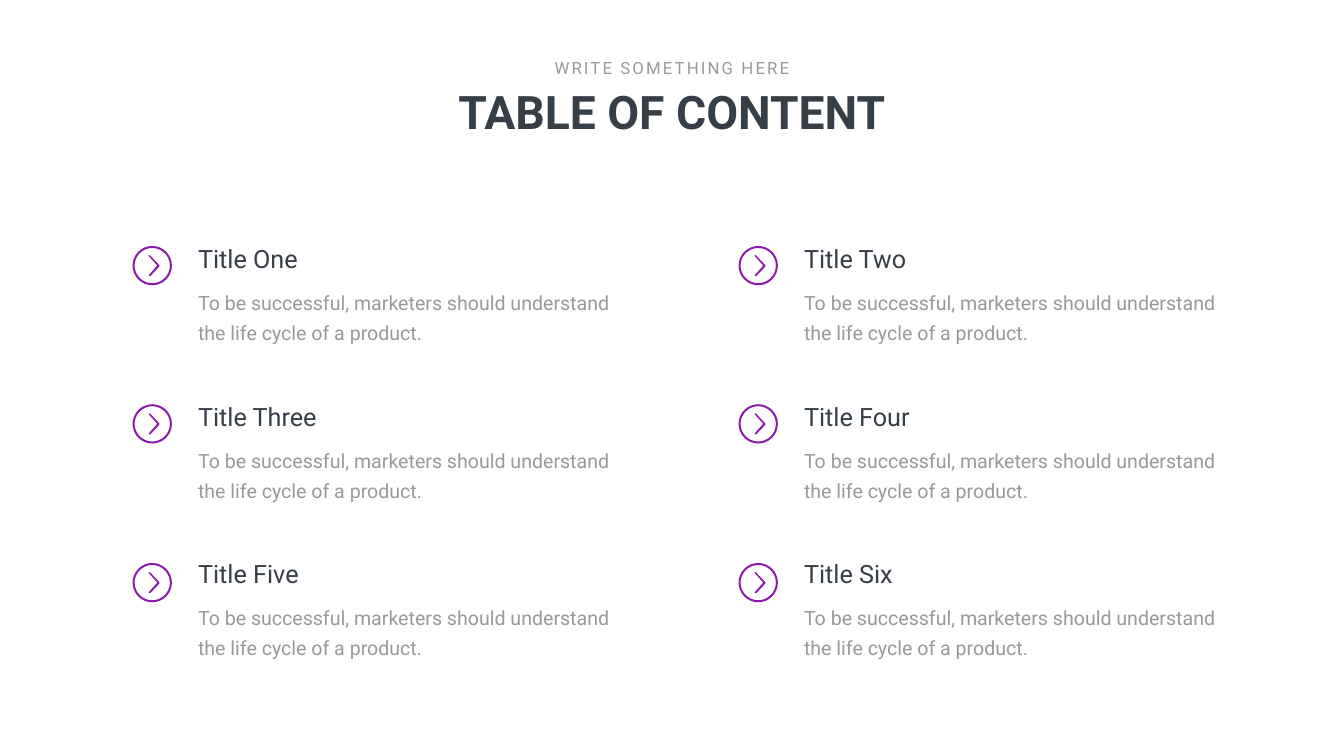
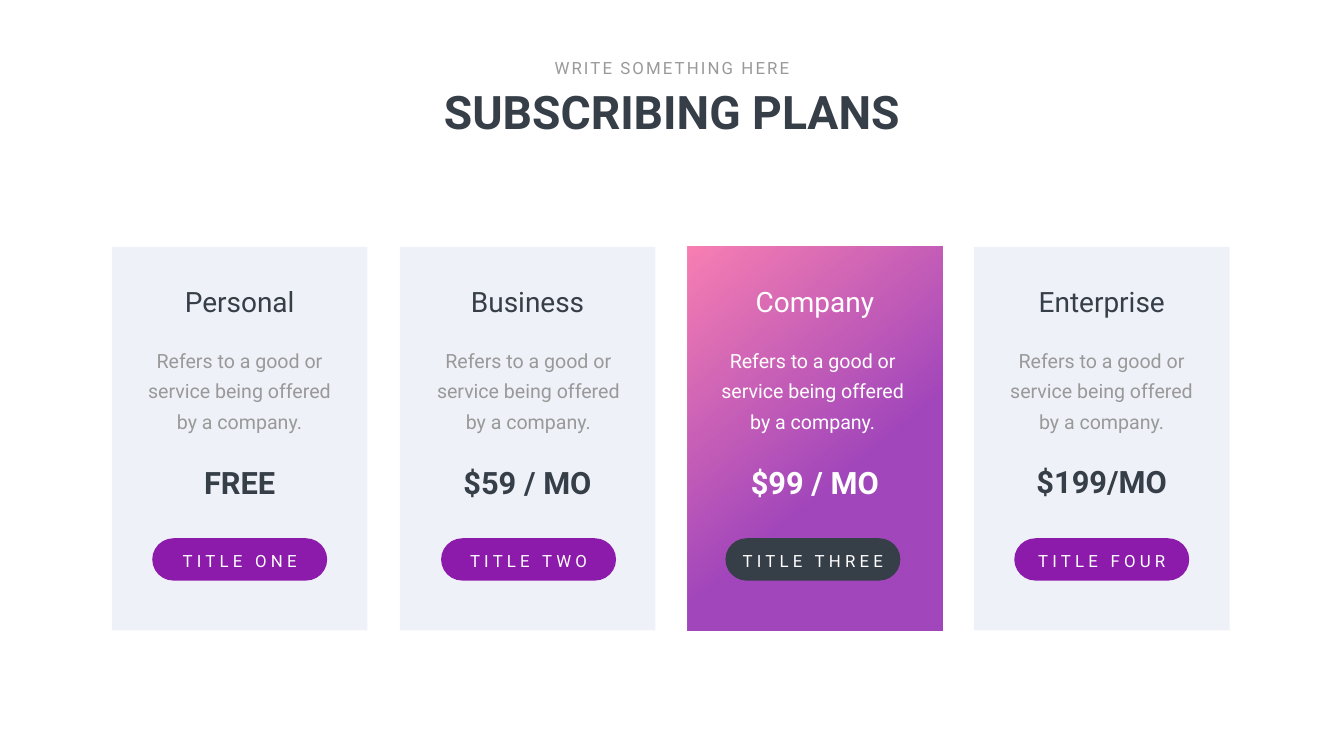
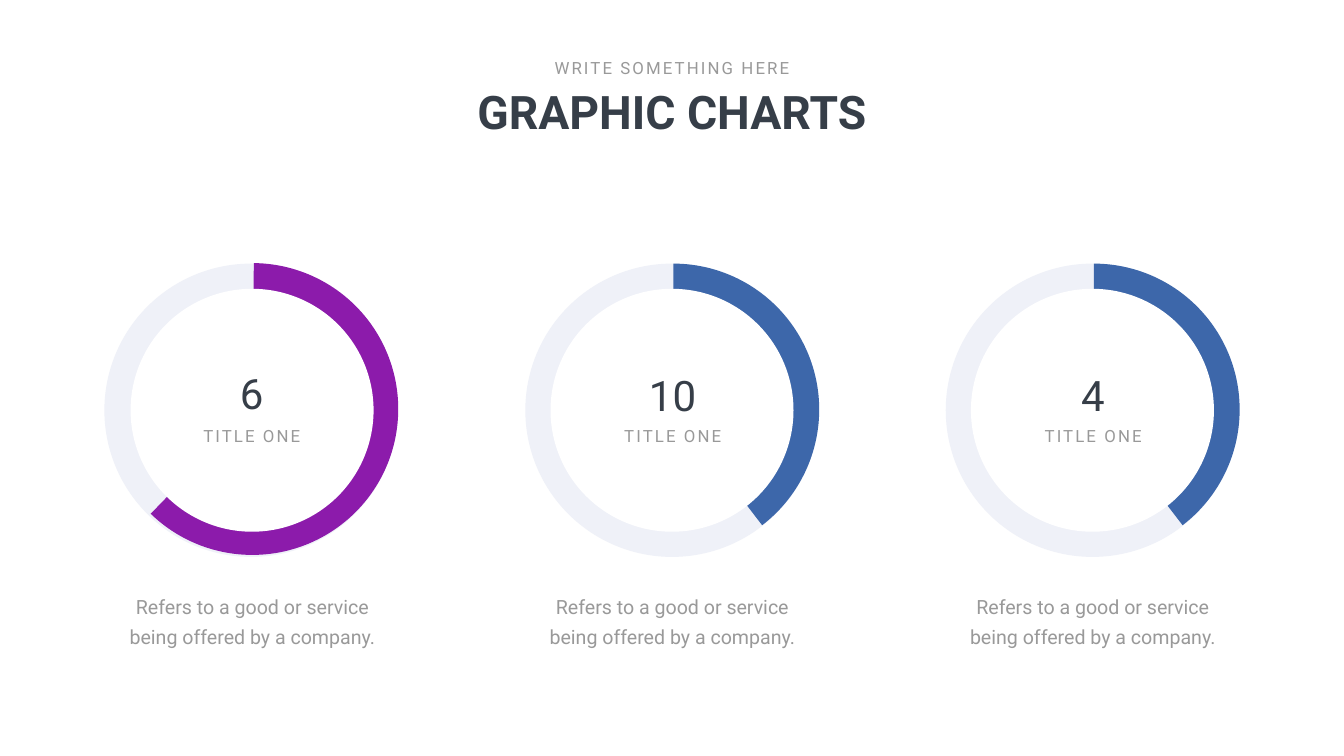
from lxml.etree import SubElement
from pptx import Presentation
from pptx.dml.color import RGBColor
from pptx.enum.shapes import MSO_SHAPE
from pptx.enum.text import MSO_AUTO_SIZE, PP_ALIGN
from pptx.oxml.ns import qn
from pptx.util import Emu, Pt

# Shared look
PX = 9144  # EMU in one px, 100 px to the inch
WIDTH, HEIGHT = 2666, 1500
FONT = "Roboto"
COLORS = {
    "dark": "363E48",
    "gray": "999999",
    "white": "FFFFFF",
    "pale": "EFF1F8",
    "purple": "8C1BAB",
    "blue": "3D67AA",
    "pink": "F761A0",
}
TITLE = dict(size=66, bold=True)
HEADING = dict(size=36, align=PP_ALIGN.LEFT)
BODY = dict(size=28, color="gray", line=43)
LABEL = dict(size=24, color="gray", spacing=3, wrap=False)

# Content
KICKER = "WRITE SOMETHING HERE"
TOPICS = ["Title One", "Title Two", "Title Three", "Title Four", "Title Five", "Title Six"]
TOPIC_TEXT = "To be successful, marketers should understand the life cycle of a product."
OFFER_TEXT = "Refers to a good or service being offered by a company."
TOPIC_LEFTS = [383, 1585]
TOPIC_ROWS = [(478, 488), (791, 802), (1103, 1117)]  # text top, icon top

PLANS = [
    dict(left=222, name="Personal", name_width=243, price="FREE", price_box=(916, 347),
         button="TITLE ONE", button_left=302, button_width=257),
    dict(left=793, name="Business", name_width=252, price="$59 / MO", price_box=(916, 347),
         button="TITLE TWO", button_left=875, button_width=263),
    dict(left=1363, name="Company", name_width=260, price="$99 / MO", price_box=(916, 347),
         button="TITLE THREE", button_left=1439, button_width=312, featured=True),
    dict(left=1932, name="Enterprise", name_width=278, price="$199/MO", price_box=(913, 420),
         button="TITLE FOUR", button_left=2012, button_width=287),
]

# Left, number, its top, arc top, hole inset, arc colour, arc start and end in degrees
RINGS = [
    (207, "6", 725, 522, 52, "purple", 270.6, 134.12),
    (1042, "10", 728, 523, 50, "blue", 270.07, 52.48),
    (1876, "4", 728, 523, 50, "blue", 270.07, 52.48),
]
RING_LABEL = "TITLE ONE"

# Arrow icon outline, inside a square of 78 px; the second ring turns the other way
CENTER = 39
OUTER_RING = [(39, 0), (78, 39), (39, 78), (0, 39), (39, 0)]
INNER_RING = [(39, 4), (4, 39), (39, 74), (74, 39), (39, 4)]
CHEVRON = [(34, 18), (53, 38), (53, 41), (35, 60), (33, 60), (32, 58),
           (49, 39), (33, 21), (32, 19)]
QUARTER = 0.55  # handle length of a quarter circle, as a share of its radius


def rgb(name):
    return RGBColor.from_string(COLORS[name])


def px(*lengths):
    return [Emu(round(length * PX)) for length in lengths]


def add_text(page, text, left, top, width, height, size, color="dark", bold=False,
             align=PP_ALIGN.CENTER, line=None, spacing=0, wrap=True, inset=None):
    box = page.shapes.add_textbox(*px(left, top, width, height))
    frame = box.text_frame
    frame.word_wrap = wrap
    frame.auto_size = MSO_AUTO_SIZE.SHAPE_TO_FIT_TEXT
    if inset:
        frame.margin_left, frame.margin_top = px(*inset)
        frame.margin_right, frame.margin_bottom = px(*inset)
    para = frame.paragraphs[0]
    para.alignment = align
    if line:
        para.line_spacing = Pt(line)
    span = para.add_run()
    span.text = text
    span.font.name = FONT
    span.font.size = Pt(size)
    span.font.bold = bold
    span.font.color.rgb = rgb(color)
    if spacing:
        span._r.get_or_add_rPr().set("spc", str(spacing * 100))


def paint(shape, color):
    shape.shadow.inherit = False
    shape.line.fill.background()
    shape.fill.solid()
    shape.fill.fore_color.rgb = rgb(color)


def add_block(page, kind, left, top, width, height, color):
    shape = page.shapes.add_shape(kind, *px(left, top, width, height))
    paint(shape, color)
    return shape


def paint_gradient(shape):
    shape.fill.gradient()
    shape.fill.gradient_angle = 310
    for stop, color, position in zip(shape.fill.gradient_stops, ("pink", "purple"), (0, 0.6)):
        stop.color.rgb = rgb(color)
        stop.position = position
    for tint in shape.element.iter(qn("a:srgbClr")):
        SubElement(tint, qn("a:alpha")).set("val", "80000")


def bend(line):
    """Turn a straight side of a ring into a quarter circle."""
    end = line[-1]
    start = line.getprevious()[-1]
    center = CENTER * PX
    for near, far in ((start, end), (end, start)):
        handle = SubElement(line, qn("a:pt"))
        for axis in ("x", "y"):
            value = int(near.get(axis)) + QUARTER * (int(far.get(axis)) - center)
            handle.set(axis, str(round(value)))
    line.append(end)
    line.tag = qn("a:cubicBezTo")


def add_arrow_icon(page, left, top):
    outlines = [[px(left + x, top + y) for x, y in points]
                for points in (OUTER_RING, INNER_RING, CHEVRON)]
    builder = page.shapes.build_freeform(*outlines[0][0], scale=1.0)
    for number, points in enumerate(outlines):
        if number:
            builder.move_to(*points[0])
        builder.add_line_segments(points[1:], close=points is outlines[-1])
    icon = builder.convert_to_shape()
    for line in list(icon.element.iter(qn("a:lnTo")))[:8]:
        bend(line)
    paint(icon, "purple")


def add_page(deck, title):
    page = deck.slides.add_slide(deck.slide_layouts[6])
    page.background.fill.solid()
    page.background.fill.fore_color.rgb = rgb("white")
    add_text(page, title, 761, 161, 1144, 121, **TITLE)
    add_text(page, KICKER, 1083, 110, 500, 50, **LABEL)
    return page


def build_contents(deck):
    page = add_page(deck, "TABLE OF CONTENT")
    for number, topic in enumerate(TOPICS):
        row, column = divmod(number, 2)
        left = TOPIC_LEFTS[column]
        top, icon_top = TOPIC_ROWS[row]
        add_text(page, TOPIC_TEXT, left, top + 81, 845, 125, align=PP_ALIGN.LEFT, **BODY)
        add_text(page, topic, left, top, 419, 71, **HEADING)
        add_arrow_icon(page, left - 120, icon_top)


def build_plans(deck):
    page = add_page(deck, "SUBSCRIBING PLANS")
    card_width, button_width = 507, 347
    for plan in PLANS:
        center = plan["left"] + card_width / 2
        featured = plan.get("featured", False)
        ink = "white" if featured else "dark"

        # Card
        card = add_block(page, MSO_SHAPE.RECTANGLE, plan["left"], 490, card_width, 761, "pale")
        if featured:
            paint_gradient(card)
        name_width = plan["name_width"]
        add_text(page, plan["name"], center - name_width / 2, 559, name_width, 77,
                 size=40, color=ink, wrap=False)
        price_top, price_width = plan["price_box"]
        add_text(page, plan["price"], center - price_width / 2, price_top, price_width, 84,
                 size=44, color=ink, bold=True)

        # Description and button
        button_left, label_width = plan["button_left"], plan["button_width"]
        body = BODY | dict(color="white" if featured else "gray", inset=(24, 12))
        add_text(page, OFFER_TEXT, button_left - 47, 668, 440, 200, **body)
        button = add_block(page, MSO_SHAPE.ROUNDED_RECTANGLE, button_left, 1068,
                           button_width, 84, "dark" if featured else "purple")
        button.adjustments[0] = 0.5
        label = LABEL | dict(color="white", spacing=6)
        add_text(page, plan["button"], button_left + (button_width - label_width) / 2, 1087,
                 label_width, 50, **label)


def build_rings(deck):
    page = add_page(deck, "GRAPHIC CHARTS")
    for left, number, number_top, arc_top, inset, color, start, end in RINGS:
        add_block(page, MSO_SHAPE.OVAL, left, 523, 582, 582, "pale")
        arc = add_block(page, MSO_SHAPE.PIE, left + 4, arc_top, 579, 579, color)
        for index, degrees in enumerate((start, end)):
            arc.adjustments[index] = degrees * 0.6
        add_block(page, MSO_SHAPE.OVAL, left + inset, 573, 482, 482, "white")
        add_text(page, number, left + 133, number_top, 318, 111, size=60)
        add_text(page, RING_LABEL, left + 183, 839, 219, 50, **LABEL)
        add_text(page, OFFER_TEXT, left + inset - 48, 1163, 579, 125, **BODY)


def main():
    deck = Presentation()
    deck.slide_width, deck.slide_height = px(WIDTH, HEIGHT)
    build_contents(deck)
    build_plans(deck)
    build_rings(deck)
    deck.save("out.pptx")


if __name__ == "__main__":
    main()
